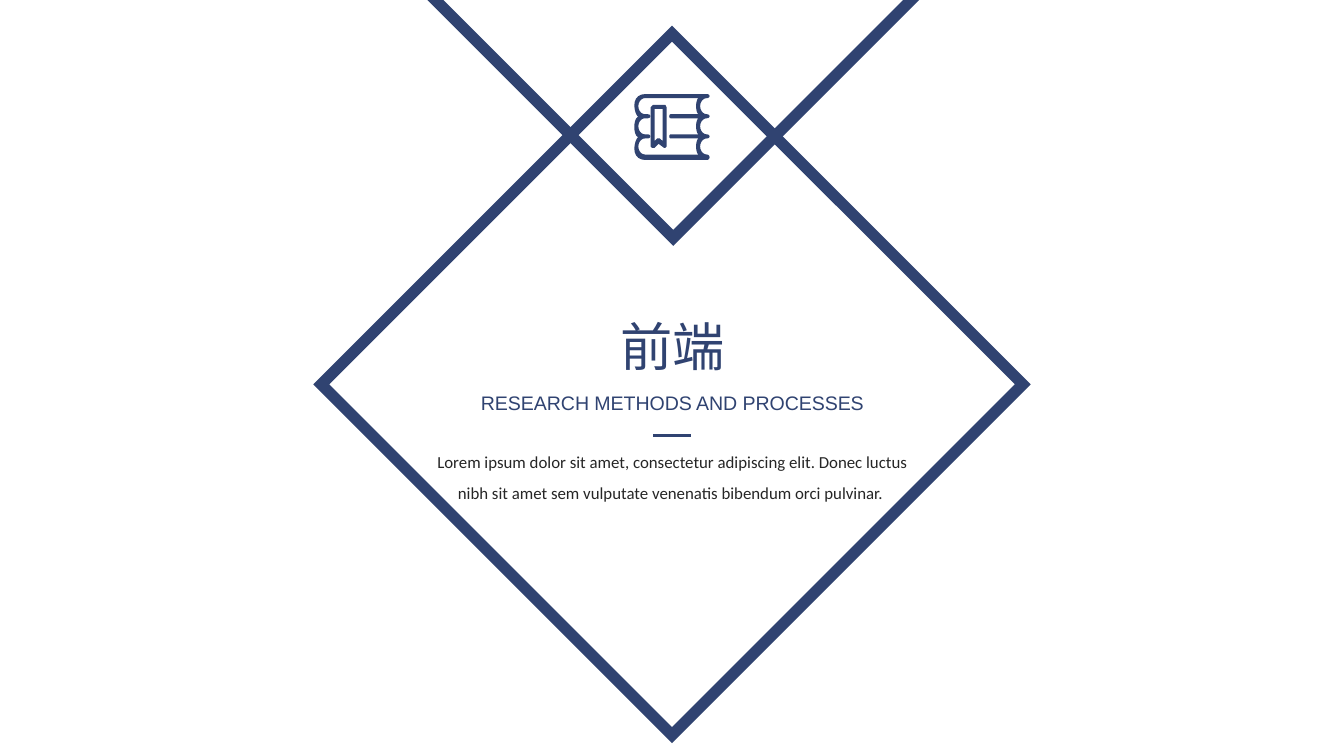
from dataclasses import dataclass
from math import cos, pi, sin

from lxml.etree import SubElement
from pptx import Presentation
from pptx.dml.color import RGBColor
from pptx.enum.shapes import MSO_CONNECTOR as Connector, MSO_SHAPE as Shape
from pptx.enum.text import MSO_AUTO_SIZE as AutoSize, PP_ALIGN as Align
from pptx.oxml.ns import qn
from pptx.util import Inches, Pt

Point = tuple[float, float]
Contour = list[Point]


@dataclass(frozen=True)
class Theme:
    navy: RGBColor = RGBColor(0x30, 0x43, 0x71)
    ink: RGBColor = RGBColor(0x26, 0x26, 0x26)
    title_size: float = 28
    subtitle_size: float = 10.5
    body_size: float = 9
    frame_width: float = 6
    divider_width: float = 1.5


THEME = Theme()


@dataclass(frozen=True)
class Caption:
    text: str
    left: float
    top: float
    width: float
    height: float
    font: str
    size: float
    color: RGBColor
    wrap: bool = False
    spacing: float = 1.0


CAPTIONS = [
    Caption("前端", 4.51, 2.29, 0.99, 0.57,
            "Noto Sans CJK SC", THEME.title_size, THEME.navy),
    Caption("RESEARCH METHODS AND PROCESSES", 3.45, 2.86, 3.11, 0.28,
            "Arial", THEME.subtitle_size, THEME.navy),
    Caption("Lorem ipsum dolor sit amet, consectetur adipiscing elit. Donec luctus "
            "nibh sit amet sem vulputate venenatis bibendum orci pulvinar. ",
            3.09, 3.24, 3.82, 0.56, "Calibri", THEME.body_size, THEME.ink,
            wrap=True, spacing=1.5),
]


def add_caption(page, caption: Caption) -> None:
    box = page.shapes.add_textbox(Inches(caption.left), Inches(caption.top),
                                  Inches(caption.width), Inches(caption.height))
    frame = box.text_frame
    frame.word_wrap = caption.wrap
    frame.auto_size = AutoSize.SHAPE_TO_FIT_TEXT
    para = frame.paragraphs[0]
    para.alignment = Align.CENTER
    para.line_spacing = caption.spacing
    span = para.add_run()
    span.text = caption.text
    span.font.name = caption.font
    span.font.size = Pt(caption.size)
    span.font.color.rgb = caption.color
    SubElement(span.font._element, qn("a:ea"), typeface=caption.font)


def style_frame(shape) -> None:
    """Hollow shape with a heavy, sharp-cornered outline."""
    shape.shadow.inherit = False
    shape.fill.background()
    shape.line.color.rgb = THEME.navy
    shape.line.width = Pt(THEME.frame_width)
    SubElement(shape.line._get_or_add_ln(), qn("a:miter"), lim="800000")


def add_outline(page, contours: list[Contour]):
    to_emu = lambda contour: [(Inches(x), Inches(y)) for x, y in contour]
    first, *holes = map(to_emu, contours)
    builder = page.shapes.build_freeform(*first[0])
    builder.add_line_segments(first[1:], close=True)
    for hole in holes:
        builder.move_to(*hole[0])
        builder.add_line_segments(hole[1:], close=True)
    return builder.convert_to_shape()


def bulge(start: Point, tip: float, end: Point, steps: int = 10) -> Contour:
    """Half ellipse from start to end that reaches x = tip halfway."""
    points = []
    for step in range(steps + 1):
        angle = pi * step / steps
        along, swell = (1 - cos(angle)) / 2, sin(angle)
        edge = start[0] + (end[0] - start[0]) * step / steps
        points.append((edge + (tip - edge) * swell,
                       start[1] + (end[1] - start[1]) * along))
    return points


def book_contours() -> list[Contour]:
    stroke = 0.03
    tops = [0.70 + 0.15 * row for row in range(4)]
    bottoms = [top + stroke for top in tops[:3]] + [1.19]
    outer: Contour = []
    inner: Contour = []

    # Right side, downwards
    for row in range(4):
        outer += bulge((5.26, tops[row]), 5.28, (5.26, bottoms[row]))
        if row < 3:
            outer += bulge((5.26, bottoms[row]), 5.21, (5.26, tops[row + 1]))
            inner += bulge((5.2, bottoms[row]), 5.18, (5.2, tops[row + 1]))
        if row < 2:
            inner += bulge((4.99, tops[row + 1]), 4.98, (4.99, bottoms[row + 1]))

    # Left side, upwards
    joints = [(4.80, tops[0]), (4.75, 0.87), (4.75, 1.02), (4.80, bottoms[3])]
    for row in reversed(range(3)):
        outer += bulge(joints[row + 1], 4.72, joints[row])
        inner += bulge((4.8, tops[row + 1]), 4.75, (4.8, bottoms[row]))
        if row > 0:
            inner += bulge((4.82, bottoms[row]), 4.84, (4.82, tops[row]))
    return [outer, inner]


BOOKMARK = [
    [(4.86, 0.78), (4.95, 0.78), (4.96, 0.8), (4.96, 1.09), (4.95, 1.1),
     (4.94, 1.1), (4.9, 1.07), (4.87, 1.1), (4.85, 1.1), (4.84, 1.09), (4.84, 0.8)],
    [(4.93, 1.05), (4.91, 1.03), (4.89, 1.03), (4.87, 1.05), (4.87, 0.81), (4.93, 0.81)],
]


def add_book_icon(page) -> None:
    parts = [add_outline(page, contours) for contours in (book_contours(), BOOKMARK)]
    for part in parts:
        part.shadow.inherit = False
        part.fill.solid()
        part.fill.fore_color.rgb = THEME.navy
        part.line.fill.background()
    page.shapes.add_group_shape(parts)


def add_divider(page) -> None:
    divider = page.shapes.add_connector(Connector.STRAIGHT, Inches(4.86), Inches(3.24),
                                        Inches(5.14), Inches(3.24))
    divider.line.color.rgb = THEME.navy
    divider.line.width = Pt(THEME.divider_width)
    SubElement(divider._element.spPr, qn("a:effectLst"))


def main() -> None:
    # Widescreen page, 16:9
    deck = Presentation()
    deck.slide_width, deck.slide_height = Inches(10), Inches(10 * 9 / 16)
    page = deck.slides.add_slide(deck.slide_layouts[6])

    # Text and divider
    for caption in CAPTIONS:
        add_caption(page, caption)
    add_divider(page)

    # Crossing frames
    style_frame(add_outline(page, [[(2.73, -0.51), (7.29, -0.51), (5.01, 1.77)]]))
    style_frame(page.shapes.add_shape(Shape.DIAMOND, Inches(2.39), Inches(0.25),
                                      Inches(5.22), Inches(5.22)))

    # Book icon
    add_book_icon(page)
    deck.save("out.pptx")


if __name__ == "__main__":
    main()
